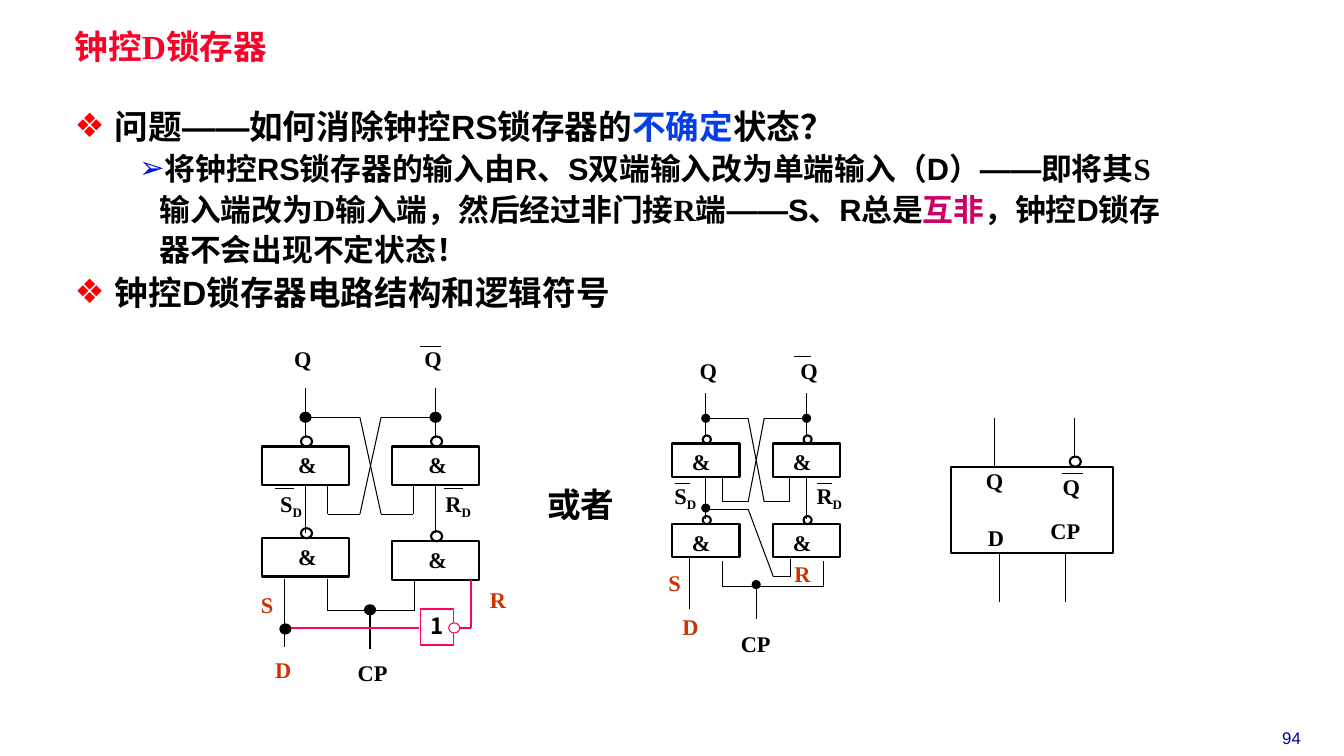
"""Build a slide explaining the clocked D latch, its circuits and its logic symbol."""
from dataclasses import dataclass
from itertools import pairwise

import pptx
import pptx.dml.color
import pptx.enum.shapes
import pptx.enum.text
import pptx.oxml.ns
import pptx.util
from lxml import etree

Inches = pptx.util.Inches
Pt = pptx.util.Pt
PP_ALIGN = pptx.enum.text.PP_ALIGN
MSO_SHAPE = pptx.enum.shapes.MSO_SHAPE
qn = pptx.oxml.ns.qn
Point = tuple[float, float]

COLORS = {
    "black": "000000", "white": "FFFFFF", "title": "FC0128", "uncertain": "063DE8",
    "inverse": "CC0066", "diamond": "FF0000", "arrow": "001ADC", "signal": "CC3300",
    "inverter": "FF0066", "number": "000099",
}
ARIAL, TIMES, CJK = "Arial", "Times New Roman", "Noto Sans CJK SC"


@dataclass
class Span:
    text: str
    size: float = 16
    font: str = TIMES
    color: str = "black"
    bold: bool = True
    subscript: bool = False


@dataclass
class Bullet:
    char: str
    color: str
    level: int
    margin: float
    indent: float
    spans: list[Span]


@dataclass
class Label:
    spans: list[Span]
    left: float
    top: float
    width: float = 0.75
    height: float = 0.37
    align: PP_ALIGN = PP_ALIGN.LEFT
    wrap: bool = True


@dataclass
class Latch:
    """Latch circuit, laid out in units of its column gap and its crossing height."""
    left: float
    top: float
    column_gap: float
    crossing: float
    gate_size: Point
    bubble: Point
    lower_rows: Point
    and_offset: float
    data_end: float

    def at(self, across: float, down: float) -> Point:
        return (round(self.left + across * self.column_gap, 2),
                round(self.top + down * self.crossing, 2))


def rgb(color: str) -> pptx.dml.color.RGBColor:
    return pptx.dml.color.RGBColor.from_string(COLORS[color])


def add_spans(paragraph, spans: list[Span]) -> None:
    for span in spans:
        run = paragraph.add_run()
        run.text = span.text
        run.font.size = Pt(span.size)
        run.font.name = span.font
        run.font.bold = span.bold
        run.font.color.rgb = rgb(span.color)
        properties = run._r.get_or_add_rPr()
        if span.subscript:
            properties.set("baseline", "-25000")
        latin = properties.find(qn("a:latin"))
        east_asian = etree.Element(qn("a:ea"), typeface=CJK if span.font == CJK else ARIAL)
        latin.addnext(east_asian)


def add_label(slide, label: Label) -> None:
    box = slide.shapes.add_textbox(*map(Inches, (label.left, label.top, label.width, label.height)))
    box.text_frame.word_wrap = label.wrap
    box.text_frame.paragraphs[0].alignment = label.align
    add_spans(box.text_frame.paragraphs[0], label.spans)


def add_wire(slide, points: list[Point], color: str = "black", width: float = 0.75) -> None:
    for start, end in pairwise(points):
        wire = slide.shapes.add_connector(
            pptx.enum.shapes.MSO_CONNECTOR.STRAIGHT, *map(Inches, (*start, *end)))
        wire.line.color.rgb = rgb(color)
        wire.line.width = Pt(width)
        etree.SubElement(wire._element.spPr, qn("a:effectLst"))


def add_part(slide, kind: MSO_SHAPE, left: float, top: float, size: Point,
             fill: str = "", line: str = "black", width: float = 1.5):
    part = slide.shapes.add_shape(kind, *map(Inches, (left, top, *size)))
    part.shadow.inherit = False
    if fill:
        part.fill.solid()
        part.fill.fore_color.rgb = rgb(fill)
    else:
        part.fill.background()
    part.line.color.rgb = rgb(line)
    part.line.width = Pt(width)
    return part


def add_dot(slide, center: Point, size: Point) -> None:
    add_part(slide, MSO_SHAPE.OVAL, center[0] - size[0] / 2, center[1] - size[1] / 2,
             size, "black", width=0.75)


def add_gate(slide, latch: Latch, column: int, top: float) -> None:
    center = latch.at(column, 0)[0]
    left = center - latch.gate_size[0] / 2
    add_part(slide, MSO_SHAPE.RECTANGLE, left, top, latch.gate_size)
    add_part(slide, MSO_SHAPE.OVAL, center + 0.01 - latch.bubble[0] / 2,
             top - latch.bubble[1], latch.bubble)
    add_label(slide, Label([Span("&")], left + latch.and_offset, top, 0.64, align=PP_ALIGN.CENTER))


def add_latch(slide, latch: Latch) -> None:
    at = latch.at
    for column in (0, 1):
        add_gate(slide, latch, column, at(0, 0.3)[1])
        add_gate(slide, latch, column, latch.lower_rows[column])
        add_wire(slide, [at(column, -0.3), at(column, 0.2)])
        add_wire(slide, [at(column, 0.7), at(column, 1.2)])
        add_label(slide, Label([Span("Q")], *at(column - 0.16, -0.8), 0.5))
    crossings = [(0, 0.42, 0.58, 0.83), (1, 0.58, 0.42, 0.17)]
    for start, near, far, end in crossings:
        add_wire(slide, [at(start, 0), at(near, 0), at(far, 1), at(end, 1), at(end, 0.7)])
        add_dot(slide, at(start, 0), latch.bubble)
    add_wire(slide, [at(0.88, -0.73), at(1.04, -0.73)])
    add_wire(slide, [at(0.17, 1.67), at(0.17, 2), at(0.84, 2), at(0.84, 1.69)]
             if latch.column_gap > 1 else
             [at(0.17, 1.71), at(0.17, 2.01), at(1.17, 2.01), at(1.17, 1.71)])
    add_wire(slide, [at(0.5, 2), at(0.5, 2.4)])
    add_dot(slide, at(0.5, 1.99), latch.bubble)
    add_wire(slide, [at(-0.16, 1.67), (at(-0.16, 0)[0], latch.data_end)])


def add_bullets(frame, bullets: list[Bullet]) -> None:
    for index, bullet in enumerate(bullets):
        paragraph = frame.add_paragraph() if index else frame.paragraphs[0]
        paragraph.level = bullet.level
        properties = paragraph._p.get_or_add_pPr()
        properties.set("marL", str(Inches(bullet.margin)))
        properties.set("indent", str(Inches(bullet.indent)))
        color = etree.SubElement(properties, qn("a:buClr"))
        etree.SubElement(color, qn("a:srgbClr"), val=COLORS[bullet.color])
        etree.SubElement(properties, qn("a:buChar"), char=bullet.char)
        paragraph.alignment = PP_ALIGN.LEFT
        paragraph.line_spacing = 1.1
        paragraph.space_before = Pt(0)
        add_spans(paragraph, bullet.spans)


def place_text(holder, left: float, top: float, width: float, height: float):
    holder.left, holder.top, holder.width, holder.height = map(Inches, (left, top, width, height))
    frame = holder.text_frame
    frame.auto_size = pptx.enum.text.MSO_AUTO_SIZE.NONE
    frame.vertical_anchor = pptx.enum.text.MSO_ANCHOR.TOP
    frame.margin_left = frame.margin_right = Inches(0.07)
    frame.margin_top = frame.margin_bottom = Inches(0.03)
    return frame


def add_inverter(slide) -> None:
    add_wire(slide, [(2.82, 6.23), (4.16, 6.23)], "inverter", 1)
    inverter = add_part(slide, MSO_SHAPE.RECTANGLE, 4.17, 6.04, (0.33, 0.36), "white", "inverter", 1)
    inverter.text_frame.word_wrap = False
    inverter.text_frame.paragraphs[0].alignment = PP_ALIGN.CENTER
    inverter.text_frame.paragraphs[0].line_spacing = 0.9
    add_spans(inverter.text_frame.paragraphs[0], [Span("1", font=CJK)])
    add_part(slide, MSO_SHAPE.OVAL, 4.45, 6.18, (0.11, 0.1), "white", "inverter", 0.75)
    add_wire(slide, [(4.56, 6.23), (4.67, 6.23), (4.67, 5.75)], "inverter", 1)
    add_dot(slide, (2.83, 6.24), (0.11, 0.1))


def add_symbol(slide) -> None:
    add_part(slide, MSO_SHAPE.RECTANGLE, 9.43, 4.63, (1.61, 0.86))
    add_part(slide, MSO_SHAPE.OVAL, 10.61, 4.53, (0.11, 0.1))
    for x, top, bottom in [(9.86, 4.15, 4.63), (10.66, 4.15, 4.53), (9.91, 5.49, 5.97), (10.57, 5.49, 5.97)]:
        add_wire(slide, [(x, top), (x, bottom)])


def main() -> None:
    deck = pptx.Presentation()
    deck.slide_width, deck.slide_height = Inches(13.33), Inches(7.5)
    slide = deck.slides.add_slide(deck.slide_layouts[1])
    heading = place_text(slide.shapes.title, 0.67, 0.28, 5.75, 0.41).paragraphs[0]
    heading.alignment = PP_ALIGN.LEFT
    heading.line_spacing = 0.87
    add_spans(heading, [Span("钟控D锁存器", 24, color="title")])
    add_bullets(place_text(slide.placeholders[1], 0.67, 0.98, 11.04, 2.2), [
        Bullet("❖", "diamond", 0, 0.4, -0.4, [
            Span("问题——如何消除钟控RS锁存器的", 24, ARIAL),
            Span("不确定", 24, ARIAL, "uncertain"), Span("状态？", 24, ARIAL)]),
        Bullet("➢", "arrow", 1, 0.84, -0.2, [
            Span("将钟控RS锁存器的输入由R、S双端输入改为单端输入（D）——", 22, ARIAL),
            Span("即将其S输入端改为D输入端，然后经过非门接R端", 22),
            Span("——S、R总是", 22, ARIAL), Span("互非", 22, ARIAL, "inverse"),
            Span("，钟控D锁存器不会出现不定状态！", 22, ARIAL)]),
        Bullet("❖", "diamond", 0, 0.4, -0.4, [Span("钟控D锁存器电路结构和逻辑符号", 24, ARIAL)]),
    ])
    add_latch(slide, Latch(3.03, 4.14, 1.29, 0.96, (0.86, 0.38), (0.11, 0.1), (5.34, 5.37), 0.13, 6.42))
    add_latch(slide, Latch(7, 4.15, 1, 0.83, (0.67, 0.33), (0.08, 0.08), (5.2, 5.2), -0.03, 6.04))
    add_inverter(slide)
    add_wire(slide, [(7, 5.05), (7.42, 5.05), (7.67, 5.72), (7.84, 5.72), (7.84, 5.55)])
    add_dot(slide, (7, 5.04), (0.08, 0.08))
    add_symbol(slide)
    for left, right, y in [(2.73, 2.92, 4.85), (4.4, 4.59, 4.85), (6.69, 6.84, 4.8),
                           (8.1, 8.25, 4.8), (10.53, 10.74, 4.7)]:
        add_wire(slide, [(left, y), (right, y)])
    for name, left, top in [("S", 2.68, 4.81), ("R", 4.32, 4.81), ("S", 6.59, 4.73), ("R", 8, 4.73)]:
        add_label(slide, Label([Span(name), Span("D", subscript=True)], left, top))
    for name, left, top in [("D", 2.63, 6.46), ("S", 2.49, 5.82), ("R", 4.76, 5.77),
                            ("D", 6.67, 6.03), ("S", 6.53, 5.6), ("R", 7.78, 5.51)]:
        add_label(slide, Label([Span(name, color="signal")], left, top, 0.5))
    for name, left, top in [("CP", 3.45, 6.49), ("CP", 7.25, 6.2), ("CP", 10.32, 5.08),
                            ("Q", 9.68, 4.59), ("Q", 10.44, 4.64), ("D", 9.7, 5.15)]:
        add_label(slide, Label([Span(name)], left, top, 0.64))
    add_label(slide, Label([Span("或者", 24, ARIAL)], 5.33, 4.75, 0.88, 0.5, wrap=False))
    add_label(slide, Label([Span("94", 12, ARIAL, "number", False)], 12.34, 7.17, 0.94, 0.3, PP_ALIGN.CENTER))
    deck.save("out.pptx")


if __name__ == "__main__":
    main()
